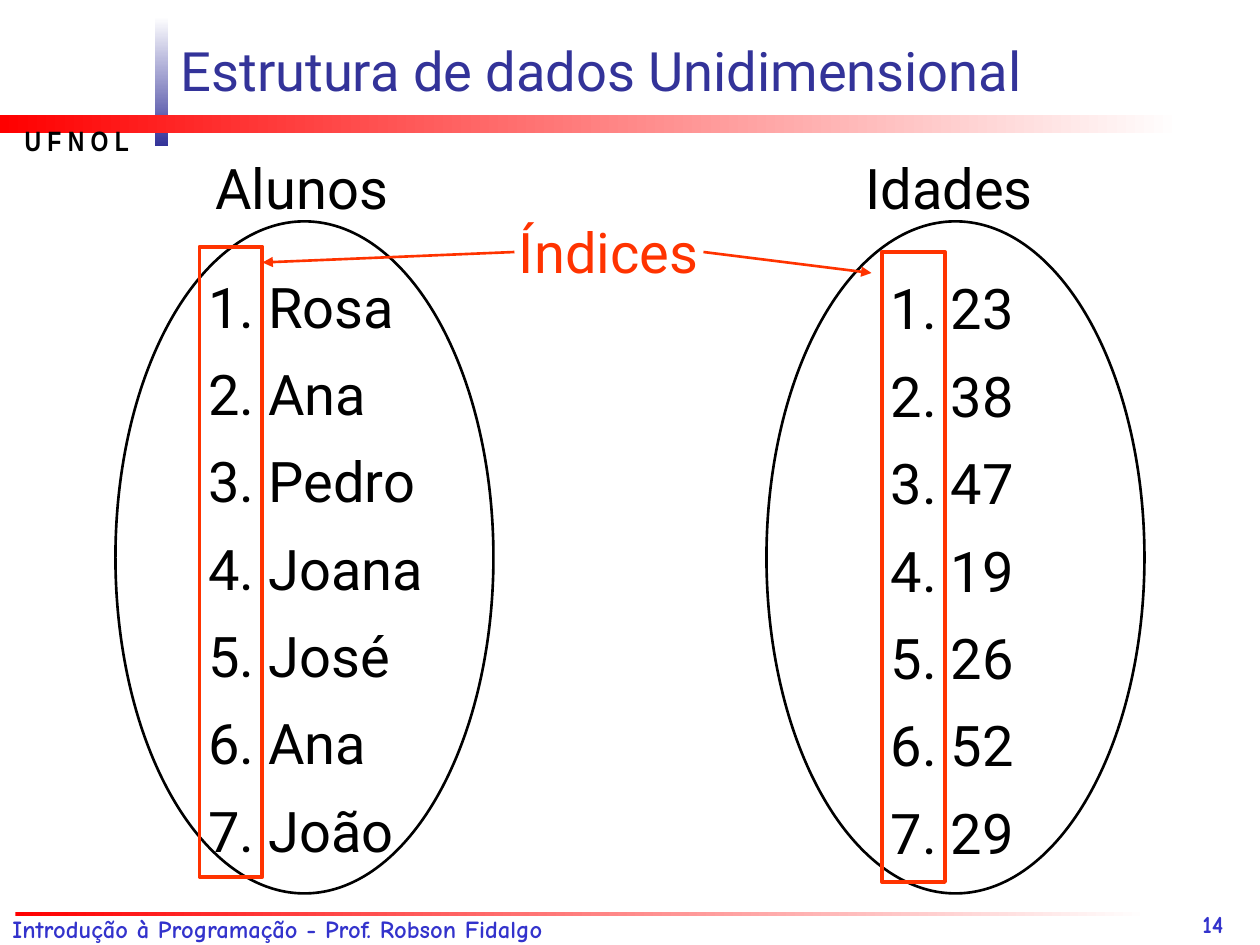
from pptx import Presentation
from pptx.dml.color import RGBColor
from pptx.enum.shapes import MSO_CONNECTOR, MSO_SHAPE
from pptx.enum.text import MSO_ANCHOR, MSO_AUTO_SIZE, PP_ALIGN
from pptx.oxml.ns import qn
from pptx.util import Pt
from lxml import etree

RECTANGLE, OVAL = MSO_SHAPE.RECTANGLE, MSO_SHAPE.OVAL
STRAIGHT = MSO_CONNECTOR.STRAIGHT
TOP, BOTTOM = MSO_ANCHOR.TOP, MSO_ANCHOR.BOTTOM
LEFT = PP_ALIGN.LEFT
NO_AUTOFIT = MSO_AUTO_SIZE.NONE

WHITE = RGBColor(0xFF, 0xFF, 0xFF)
BLACK = RGBColor(0x00, 0x00, 0x00)
RED = RGBColor(0xFF, 0x00, 0x00)
ORANGE = RGBColor(0xFF, 0x33, 0x00)
NAVY = RGBColor(0x33, 0x33, 0x99)
BLUE = RGBColor(0x33, 0x33, 0xCC)

presentation = Presentation()
presentation.slide_width, presentation.slide_height = Pt(720), Pt(540)
slide = presentation.slides.add_slide(presentation.slide_layouts[5])
shapes = slide.shapes


def write_text(shape, lines, size, color, font="Roboto", bold=False,
               anchor=TOP, line_spacing=None):
    """Fill a shape with one left-aligned paragraph per line."""
    text_frame = shape.text_frame
    text_frame.text = "\n".join(lines)
    text_frame.word_wrap = True
    text_frame.auto_size = NO_AUTOFIT
    text_frame.vertical_anchor = anchor
    for paragraph in text_frame.paragraphs:
        paragraph.alignment = LEFT
        paragraph.line_spacing = line_spacing
        for run in paragraph.runs:
            run.font.name = font
            run.font.size = Pt(size)
            run.font.bold = bold
            run.font.color.rgb = color


def add_outline(kind, left, top, width, height, color, weight):
    """Add an unfilled shape with a coloured line."""
    shape = shapes.add_shape(kind, Pt(left), Pt(top), Pt(width), Pt(height))
    shape.shadow.inherit = False
    shape.fill.background()
    shape.line.color.rgb = color
    shape.line.width = Pt(weight)


# Gradient bars of the frame; angles run counter-clockwise
bars = [
    (88.5, 9.5, 7.5, 74, WHITE, NAVY, 270),
    (0, 66, 675, 10, RED, WHITE, 0),
    (8.75, 521, 648, 2.25, RED, WHITE, 0),
]
for left, top, width, height, start, end, angle in bars:
    bar = shapes.add_shape(RECTANGLE, Pt(left), Pt(top), Pt(width), Pt(height))
    bar.shadow.inherit = False
    bar.line.fill.background()
    bar.fill.gradient()
    bar.fill.gradient_angle = angle
    for stop, color in zip(bar.fill.gradient_stops, (start, end)):
        stop.color.rgb = color

title = shapes.title
title.left, title.top, title.width, title.height = Pt(96), Pt(13), Pt(624), Pt(49)
write_text(title, ["Estrutura de dados Unidimensional"], 31, NAVY, anchor=BOTTOM)

# Single-line labels
labels = [
    ("U F N O L", 7, 67, 80, 27, 16, BLACK, "Arial Narrow", True, TOP),
    ("Alunos", 116, 84, 118, 46, 32, BLACK, "Roboto", False, TOP),
    ("Idades", 487.5, 84, 116, 46, 32, BLACK, "Roboto", False, TOP),
    ("Índices", 289.5, 120.5, 122, 46, 32, ORANGE, "Roboto", False, TOP),
    ("Introdução à Programação - Prof. Robson Fidalgo",
     0, 519, 451, 21, 14, BLUE, "Comic Neue", True, TOP),
    ("14", 680, 505, 40, 35, 14, BLUE, "Comic Neue", True, BOTTOM),
]
for text, left, top, width, height, size, color, font, bold, anchor in labels:
    label = shapes.add_textbox(Pt(left), Pt(top), Pt(width), Pt(height))
    write_text(label, [text], size, color, font, bold, anchor)

# Each vector: numbered values, ellipse left, list left and top, index box left and top
vectors = [
    (["Rosa", "Ana", "Pedro", "Joana", "José", "Ana", "João"],
     66, 112, 140.5, 114, 141),
    (["23", "38", "47", "19", "26", "52", "29"],
     438, 502, 141.5, 504, 144),
]
for values, ellipse_left, list_left, list_top, index_left, index_top in vectors:
    add_outline(OVAL, ellipse_left, 126.5, 216, 384, BLACK, 1.5)
    value_list = shapes.add_textbox(Pt(list_left), Pt(list_top), Pt(139), Pt(357))
    lines = [f"{index}. {value}" for index, value in enumerate(values, 1)]
    write_text(value_list, lines, 32, BLACK, line_spacing=1.3)
    add_outline(RECTANGLE, index_left, index_top, 36, 360, ORANGE, 2.25)

# Arrows from the "Índices" label to the index boxes
for start_x, start_y, end_x, end_y in [(294, 144, 150, 150), (402, 144, 498, 156)]:
    arrow = shapes.add_connector(STRAIGHT, Pt(start_x), Pt(start_y), Pt(end_x), Pt(end_y))
    arrow.line.color.rgb = ORANGE
    arrow.line.width = Pt(1.5)
    etree.SubElement(arrow.line._get_or_add_ln(), qn("a:tailEnd"), type="triangle")
    etree.SubElement(arrow._element.spPr, qn("a:effectLst"))

presentation.save("out.pptx")
